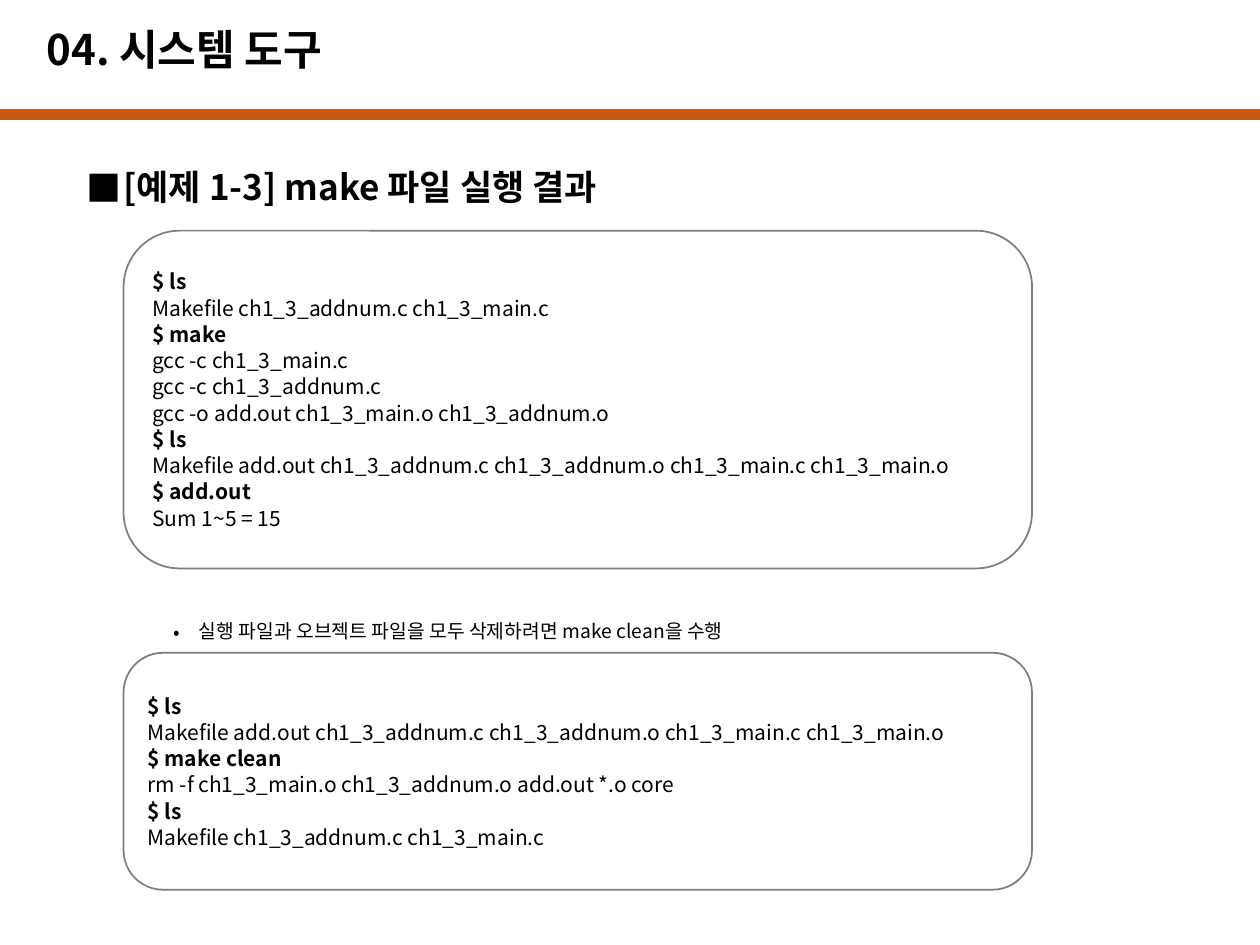
from dataclasses import dataclass

from lxml.etree import SubElement
from pptx import Presentation
from pptx.dml.color import RGBColor
from pptx.enum.shapes import MSO_CONNECTOR, MSO_SHAPE
from pptx.enum.text import MSO_ANCHOR, MSO_AUTO_SIZE, PP_ALIGN
from pptx.oxml.ns import qn
from pptx.slide import Slide
from pptx.text.text import TextFrame, _Paragraph
from pptx.util import Pt

FONT = "Noto Sans CJK KR"
BLACK = RGBColor(0x00, 0x00, 0x00)
ORANGE = RGBColor(0xC5, 0x5A, 0x11)
GRAY = RGBColor(0x7F, 0x7F, 0x7F)

SLIDE_WIDTH, SLIDE_HEIGHT = 720, 540
CONSOLE_LEFT, CONSOLE_WIDTH = 70.6, 519.1
BODY_LEFT, BODY_WIDTH = 42.5, 641.5
PROMPT = "$ "


@dataclass(frozen=True)
class Console:
    top: float
    height: float
    lines: tuple[str, ...]


@dataclass(frozen=True)
class Bullet:
    text: str
    middle: float
    size: float
    bold: bool
    mark: str
    indent: float
    hanging: float


CONSOLES = (
    Console(131.8, 193, (
        "$ ls",
        "Makefile ch1_3_addnum.c ch1_3_main.c",
        "$ make",
        "gcc -c ch1_3_main.c",
        "gcc -c ch1_3_addnum.c",
        "gcc -o add.out ch1_3_main.o ch1_3_addnum.o",
        "$ ls",
        "Makefile add.out ch1_3_addnum.c ch1_3_addnum.o ch1_3_main.c ch1_3_main.o",
        "$ add.out",
        "Sum 1~5 = 15",
    )),
    Console(373, 135.4, (
        "$ ls",
        "Makefile add.out ch1_3_addnum.c ch1_3_addnum.o ch1_3_main.c ch1_3_main.o",
        "$ make clean",
        "rm -f ch1_3_main.o ch1_3_addnum.o add.out *.o core",
        "$ ls",
        "Makefile ch1_3_addnum.c ch1_3_main.c",
    )),
)

BULLETS = (
    Bullet("[예제 1-3] make 파일 실행 결과", 106.3, 20, True, "■", 20.9, 20.9),
    Bullet("실행 파일과 오브젝트 파일을 모두 삭제하려면 make clean을 수행",
           360.5, 11, False, "•", 64.1, 14.4),
)


def add_text(paragraph: _Paragraph, text: str, size: float, bold: bool) -> None:
    paragraph.alignment = PP_ALIGN.LEFT
    run = paragraph.add_run()
    run.text = text
    run.font.name = FONT
    run.font.size = Pt(size)
    run.font.bold = bold
    run.font.color.rgb = BLACK
    # East Asian glyphs use the same typeface
    SubElement(run.font._element, qn("a:ea"), typeface=FONT)


def prepare_frame(frame: TextFrame) -> None:
    frame.word_wrap = True
    frame.auto_size = MSO_AUTO_SIZE.NONE
    frame.vertical_anchor = MSO_ANCHOR.MIDDLE


def add_title(slide: Slide, text: str) -> None:
    title = slide.shapes.title
    title.left, title.top = Pt(19.4), Pt(7.9)
    title.width, title.height = Pt(595.4), Pt(43.2)
    prepare_frame(title.text_frame)
    paragraph = title.text_frame.paragraphs[0]
    paragraph.line_spacing = 0.9
    add_text(paragraph, text, 24, True)


def add_rule(slide: Slide, middle: float) -> None:
    rule = slide.shapes.add_connector(
        MSO_CONNECTOR.STRAIGHT, Pt(0), Pt(middle), Pt(SLIDE_WIDTH), Pt(middle))
    rule.line.color.rgb = ORANGE
    rule.line.width = Pt(6)
    SubElement(rule._element.spPr, qn("a:effectLst"))


def add_bullet(slide: Slide, bullet: Bullet) -> None:
    height = bullet.size * 1.8
    box = slide.shapes.add_textbox(
        Pt(BODY_LEFT), Pt(bullet.middle - height / 2), Pt(BODY_WIDTH), Pt(height))
    frame = box.text_frame
    prepare_frame(frame)
    frame.margin_top = frame.margin_bottom = Pt(0)
    paragraph = frame.paragraphs[0]
    properties = paragraph._p.get_or_add_pPr()
    properties.set("marL", str(Pt(bullet.indent)))
    properties.set("indent", str(-Pt(bullet.hanging)))
    color = SubElement(properties, qn("a:buClr"))
    SubElement(color, qn("a:srgbClr"), val=str(BLACK))
    SubElement(properties, qn("a:buFont"), typeface=FONT)
    SubElement(properties, qn("a:buChar"), char=bullet.mark)
    add_text(paragraph, bullet.text, bullet.size, bullet.bold)


def add_console(slide: Slide, console: Console) -> None:
    box = slide.shapes.add_shape(
        MSO_SHAPE.ROUNDED_RECTANGLE, Pt(CONSOLE_LEFT), Pt(console.top),
        Pt(CONSOLE_WIDTH), Pt(console.height))
    box.shadow.inherit = False
    box.fill.background()
    box.line.color.rgb = GRAY
    box.line.width = Pt(1)
    frame = box.text_frame
    prepare_frame(frame)
    for index, line in enumerate(console.lines):
        paragraph = frame.add_paragraph() if index else frame.paragraphs[0]
        paragraph.space_after = Pt(0.6)
        add_text(paragraph, line, 12, line.startswith(PROMPT))


def main() -> None:
    presentation = Presentation()
    presentation.slide_width = Pt(SLIDE_WIDTH)
    presentation.slide_height = Pt(SLIDE_HEIGHT)
    title_only = presentation.slide_layouts.get_by_name("Title Only")
    slide = presentation.slides.add_slide(title_only)

    # Header
    add_rule(slide, 65.5)
    add_title(slide, "04. 시스템 도구")

    # Each bullet introduces the console session below it
    for bullet, console in zip(BULLETS, CONSOLES):
        add_bullet(slide, bullet)
        add_console(slide, console)

    presentation.save("out.pptx")


if __name__ == "__main__":
    main()
